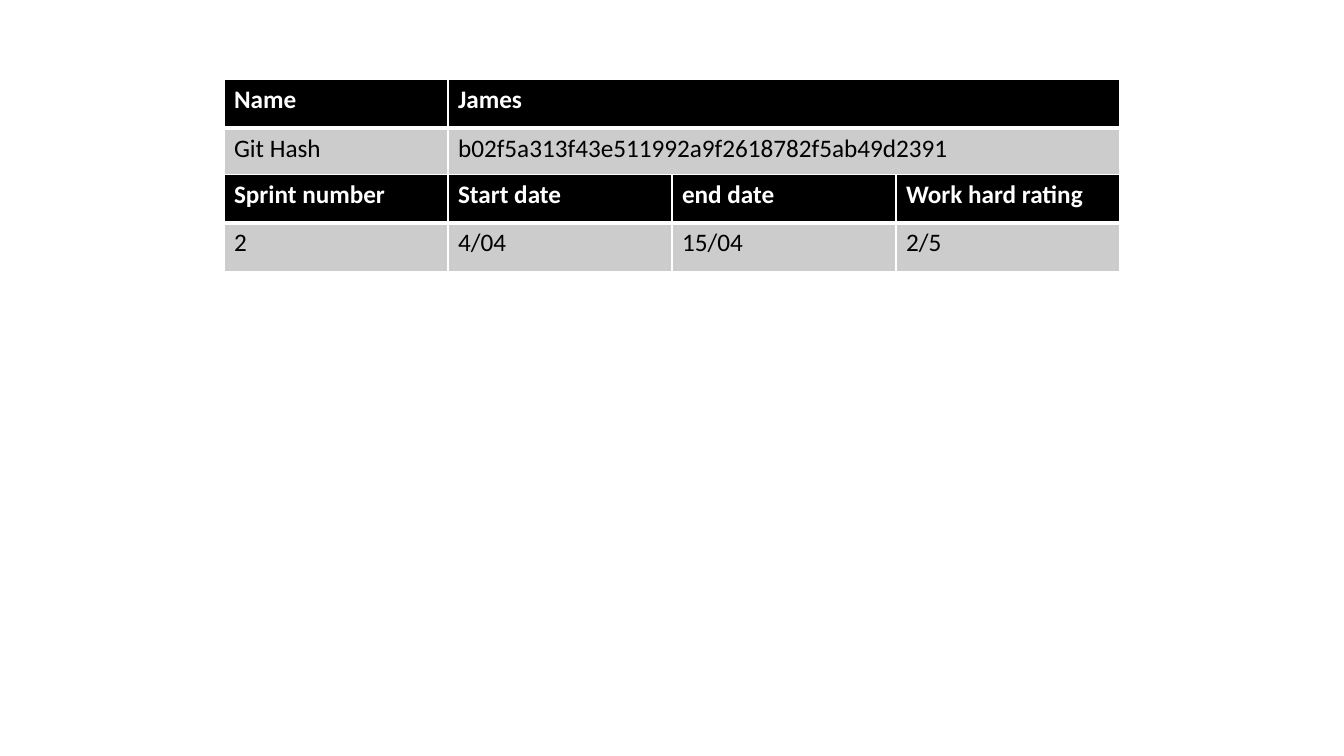
"""Build a sprint summary slide with two stacked tables."""
import pptx
import pptx.dml.color
import pptx.oxml
import pptx.oxml.ns
import pptx.util
from dataclasses import dataclass


@dataclass(frozen=True)
class Theme:
    font: str = "Calibri"
    size: int = 18
    header_fill: str = "000000"
    header_text: str = "FFFFFF"
    body_fill: str = "CCCCCC"
    body_text: str = "000000"
    border: str = "FFFFFF"
    thin: int = 1
    thick: int = 3


THEME = Theme()
TABLES = [
    {
        "top": 0.79,
        "spans": (1, 3),
        "rows": [
            ("Name", "James"),
            ("Git Hash", "b02f5a313f43e511992a9f2618782f5ab49d2391"),
        ],
    },
    {
        "top": 1.73,
        "spans": (1, 1, 1, 1),
        "rows": [
            ("Sprint number", "Start date", "end date", "Work hard rating"),
            ("2", "4/04", "15/04", "2/5"),
        ],
    },
]
SLIDE_COLUMNS = 6
ROW_HEIGHT = pptx.util.Inches(0.48)


def color(value):
    return pptx.dml.color.RGBColor.from_string(value)


def add_borders(cell, is_header):
    properties = cell._tc.get_or_add_tcPr()
    widths = {
        "lnL": THEME.thin,
        "lnR": THEME.thin,
        "lnT": THEME.thin if is_header else THEME.thick,
        "lnB": THEME.thick if is_header else THEME.thin,
    }
    for position, (edge, width) in enumerate(widths.items()):
        line = pptx.oxml.parse_xml(
            f'<a:{edge} {pptx.oxml.ns.nsdecls("a")} w="{pptx.util.Pt(width)}">'
            f'<a:solidFill><a:srgbClr val="{THEME.border}"/></a:solidFill></a:{edge}>'
        )
        properties.insert(position, line)


def format_cell(cell, text, is_header):
    cell.text = text
    font = cell.text_frame.paragraphs[0].font
    font.name = THEME.font
    font.size = pptx.util.Pt(THEME.size)
    font.bold = is_header
    font.color.rgb = color(THEME.header_text if is_header else THEME.body_text)
    cell.fill.solid()
    cell.fill.fore_color.rgb = color(THEME.header_fill if is_header else THEME.body_fill)
    add_borders(cell, is_header)


def add_sprint_table(slide, unit, top, spans, rows):
    shape = slide.shapes.add_table(
        len(rows), len(spans), unit, pptx.util.Inches(top),
        unit * sum(spans), ROW_HEIGHT * len(rows),
    )
    table = shape.table
    for column, span in zip(table.columns, spans):
        column.width = unit * span
    for row_index, texts in enumerate(rows):
        table.rows[row_index].height = ROW_HEIGHT
        for column_index, text in enumerate(texts):
            format_cell(table.cell(row_index, column_index), text, row_index == 0)


presentation = pptx.Presentation()
presentation.slide_width = pptx.util.Inches(13.33)
presentation.slide_height = pptx.util.Inches(7.5)
slide = presentation.slides.add_slide(presentation.slide_layouts[6])
column_unit = presentation.slide_width // SLIDE_COLUMNS
for content in TABLES:
    add_sprint_table(slide, column_unit, **content)
presentation.save("out.pptx")
